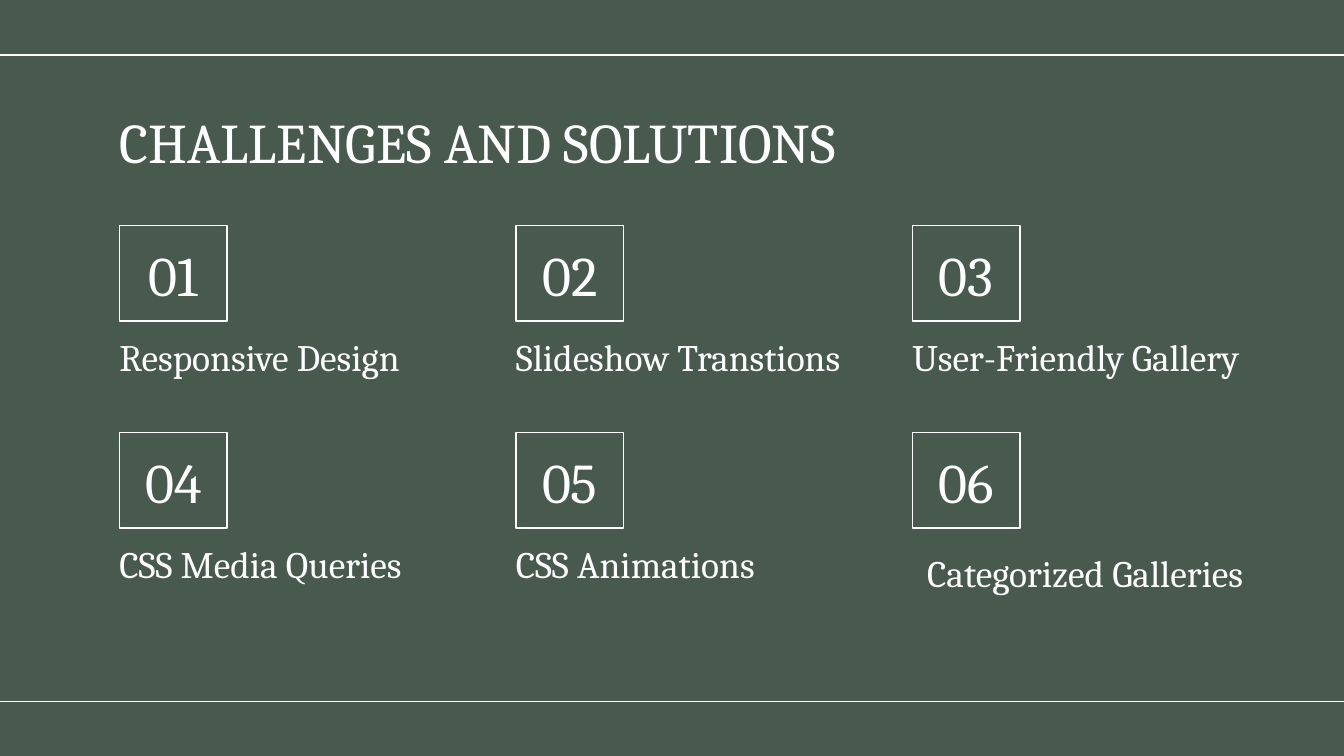
"""Build the "Challenges and solutions" slide: six numbered topics in a grid."""
from dataclasses import dataclass

import lxml.etree
import pptx
import pptx.dml.color
import pptx.enum.shapes
import pptx.enum.text
import pptx.oxml.ns
import pptx.slide
import pptx.util
from pptx.util import Inches

FONT = "Cambria"
GREEN = "485A4E"
WHITE = "FFFFFF"
COLUMNS = 3
LEFT, TOP = 0.89, 1.68
COLUMN_STEP, ROW_STEP = 2.95, 1.54
NUMBER_WIDTH, NUMBER_HEIGHT = 0.8, 0.71
INSET = 0.1


@dataclass
class Topic:
    label: str
    width: float = 2.52
    shift_right: float = 0
    shift_down: float = 0


TOPICS = [
    Topic("Responsive Design"),
    Topic("Slideshow Transtions", 2.95),
    Topic("User-Friendly Gallery", 3.13),
    Topic("CSS Media Queries"),
    Topic("CSS Animations"),
    Topic("Categorized Galleries", 3.2, 0.11, 0.06),
]


def color(value: str) -> pptx.dml.color.RGBColor:
    return pptx.dml.color.RGBColor.from_string(value)


def write(box, text: str, size: float, anchor, alignment) -> None:
    frame = box.text_frame
    frame.text = text
    frame.word_wrap = True
    frame.vertical_anchor = anchor
    frame.margin_left = frame.margin_right = Inches(INSET)
    frame.margin_top = frame.margin_bottom = Inches(INSET)
    paragraph = frame.paragraphs[0]
    paragraph.alignment = alignment
    for span in paragraph.runs:
        span.font.name = FONT
        span.font.size = pptx.util.Pt(size)
        span.font.color.rgb = color(WHITE)


def draw_text(page: pptx.slide.Slide, text: str, size: float,
              left: float, top: float, width: float, height: float) -> None:
    box = page.shapes.add_textbox(Inches(left), Inches(top), Inches(width), Inches(height))
    write(box, text, size, pptx.enum.text.MSO_ANCHOR.TOP, pptx.enum.text.PP_ALIGN.LEFT)


def draw_number(page: pptx.slide.Slide, text: str, left: float, top: float) -> None:
    box = page.shapes.add_shape(
        pptx.enum.shapes.MSO_SHAPE.RECTANGLE, Inches(left), Inches(top),
        Inches(NUMBER_WIDTH), Inches(NUMBER_HEIGHT))
    box.shadow.inherit = False
    box.fill.background()
    box.line.color.rgb = color(WHITE)
    box.line.width = pptx.util.Pt(0.75)
    write(box, text, 30, pptx.enum.text.MSO_ANCHOR.BOTTOM, pptx.enum.text.PP_ALIGN.CENTER)


def draw_rule(page: pptx.slide.Slide, left: float, right: float, top: float) -> None:
    rule = page.shapes.add_connector(
        pptx.enum.shapes.MSO_CONNECTOR.STRAIGHT,
        Inches(left), Inches(top), Inches(right), Inches(top))
    rule.line.color.rgb = color(WHITE)
    rule.line.width = pptx.util.Pt(0.75)
    lxml.etree.SubElement(rule._element.spPr, pptx.oxml.ns.qn("a:effectLst"))


def draw_topic(page: pptx.slide.Slide, index: int, topic: Topic) -> None:
    row, column = divmod(index, COLUMNS)
    left = LEFT + column * COLUMN_STEP
    top = TOP + row * ROW_STEP
    draw_number(page, f"{index + 1:02}", left, top)
    draw_text(page, topic.label, 20, left - INSET + topic.shift_right,
              top + NUMBER_HEIGHT + topic.shift_down, topic.width, 0.54)


def main() -> None:
    deck = pptx.Presentation()
    deck.slide_width = Inches(10)
    deck.slide_height = deck.slide_width * 9 // 16
    page = deck.slides.add_slide(deck.slide_layouts[6])
    page.background.fill.solid()
    page.background.fill.fore_color.rgb = color(GREEN)
    draw_rule(page, -0.02, 10.01, 0.41)
    draw_rule(page, -0.01, 10.02, 5.22)
    draw_text(page, "CHALLENGES AND SOLUTIONS", 30, LEFT - INSET, 0.7, 8.43, 0.63)
    for index, topic in enumerate(TOPICS):
        draw_topic(page, index, topic)
    deck.save("out.pptx")


if __name__ == "__main__":
    main()
